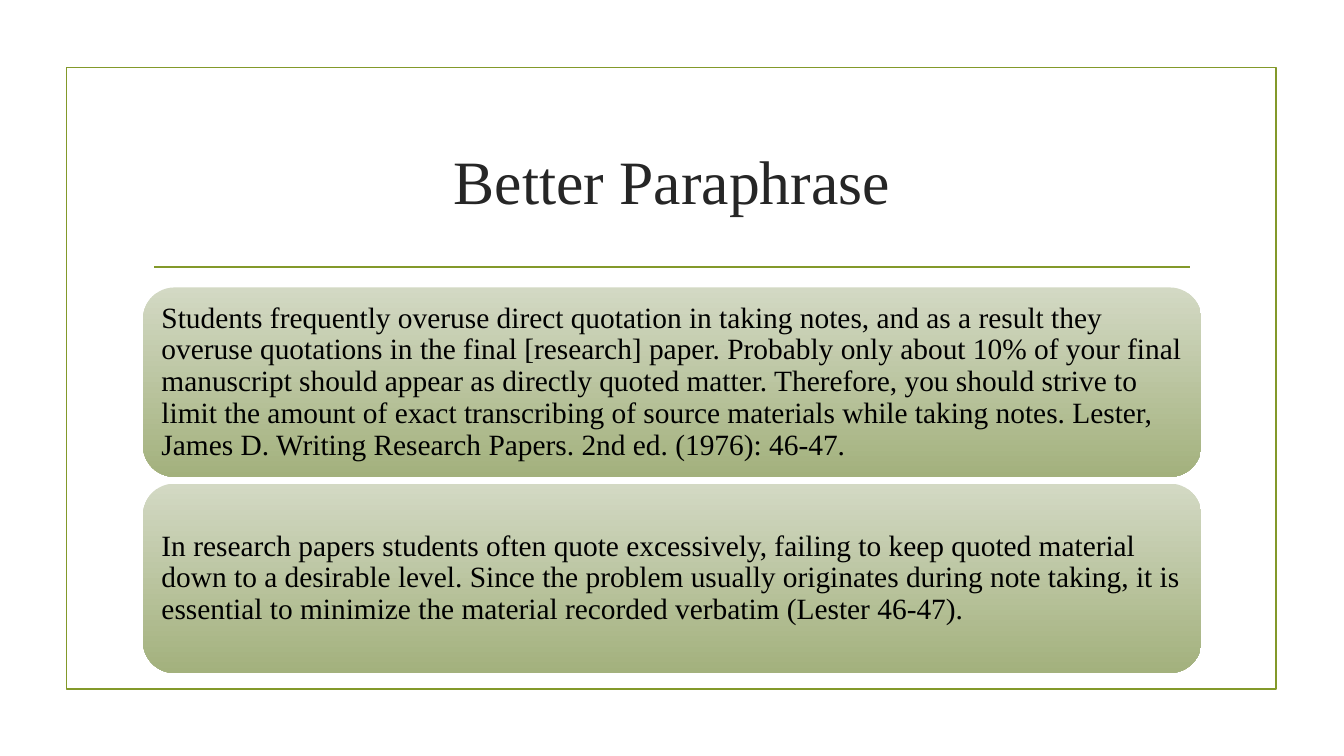
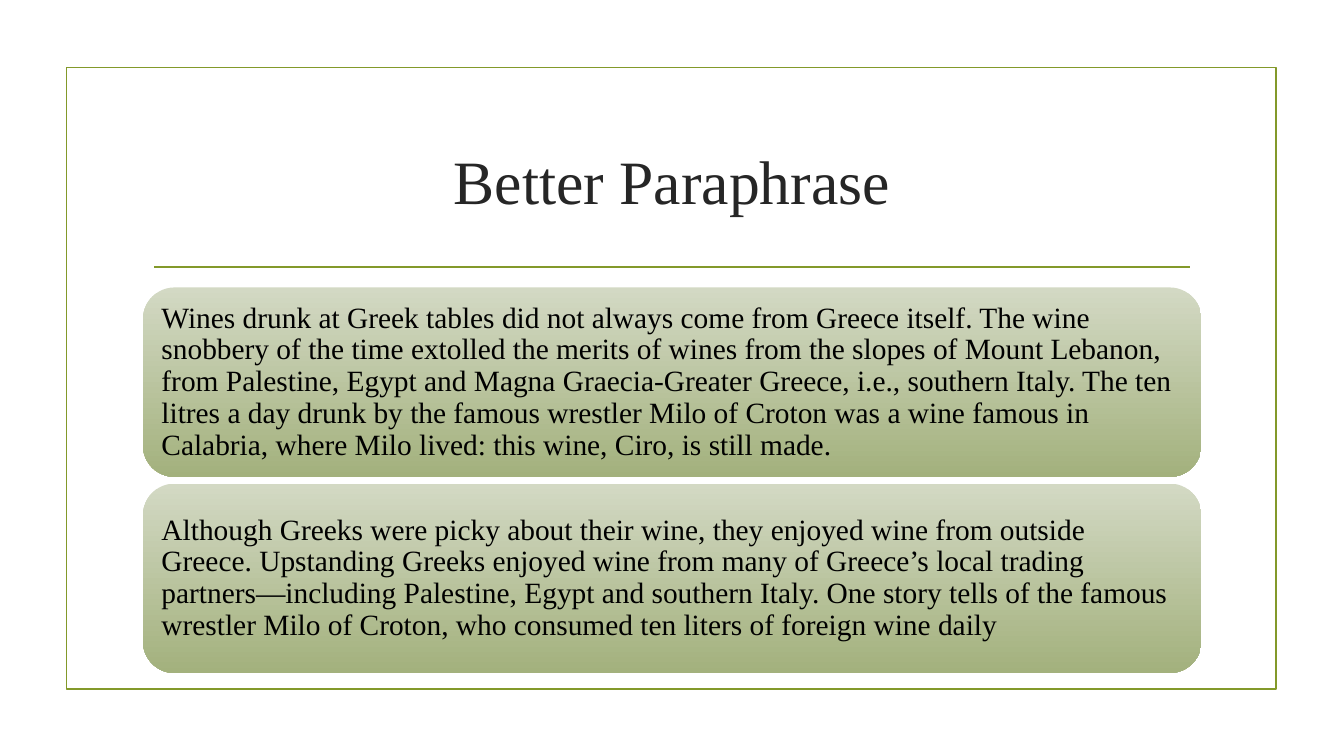
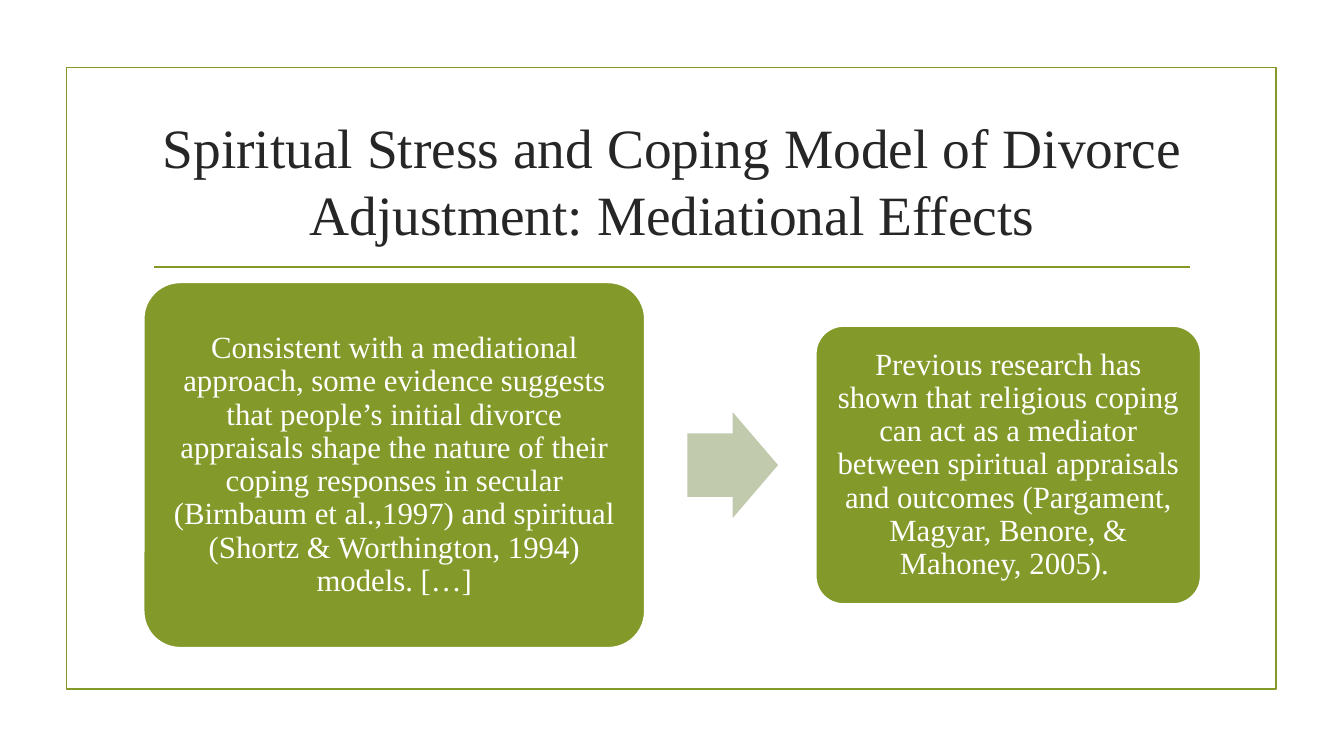
from dataclasses import dataclass
from typing import Optional

from lxml.etree import SubElement
from pptx import Presentation
from pptx.dml.color import RGBColor
from pptx.enum.shapes import MSO_CONNECTOR, MSO_SHAPE
from pptx.enum.text import MSO_ANCHOR, PP_ALIGN
from pptx.oxml.ns import qn
from pptx.util import Pt


@dataclass(frozen=True)
class Theme:
    font: str = "Times New Roman"
    paper: str = "FFFFFF"
    olive: str = "83992A"
    sage: str = "C1CAAD"
    passage_top: str = "D3D9C4"
    passage_bottom: str = "A3B17D"
    title_ink: str = "262626"
    passage_ink: str = "000000"
    title_size: float = 44
    long_title_size: float = 39.6
    passage_size: float = 21
    step_size: float = 22
    line_width: float = 1.25


THEME = Theme()


@dataclass(frozen=True)
class Box:
    left: float
    top: float
    width: float
    height: float

    def lengths(self):
        return Pt(self.left), Pt(self.top), Pt(self.width), Pt(self.height)


@dataclass(frozen=True)
class Comparison:
    """A source passage and its paraphrase."""
    title: str
    passages: tuple[str, str]


@dataclass(frozen=True)
class Step:
    text: str
    left: float
    width: float
    height: float


FRAME = Box(47.5, 48.2, 864, 444.2)
TITLE = Box(102.2, 77, 756, 103)
RULE_LEFT, RULE_RIGHT, RULE_TOP = 110.2, 850.3, 190.8
FIRST_PASSAGE = Box(102.2, 205.3, 756, 135.3)
PASSAGE_PITCH = 140.1
FLOW_MIDDLE = 332.2
ARROW_LEFT, ARROW_WIDTH, ARROW_HEIGHT = 491, 64.8, 75.6

COMPARISONS = (
    Comparison("Better Paraphrase", (
        "Students frequently overuse direct quotation in taking notes, and as a result they "
        "overuse quotations in the final [research] paper. Probably only about 10% of your final "
        "manuscript should appear as directly quoted matter. Therefore, you should strive to "
        "limit the amount of exact transcribing of source materials while taking notes. Lester, "
        "James D. Writing Research Papers. 2nd ed. (1976): 46-47.",
        "In research papers students often quote excessively, failing to keep quoted material "
        "down to a desirable level. Since the problem usually originates during note taking, it "
        "is essential to minimize the material recorded verbatim (Lester 46-47).")),
    Comparison("Better Paraphrase", (
        "Wines drunk at Greek tables did not always come from Greece itself. The wine "
        "snobbery of the time extolled the merits of wines from the slopes of Mount Lebanon, "
        "from Palestine, Egypt and Magna Graecia-Greater Greece, i.e., southern Italy. The ten "
        "litres a day drunk by the famous wrestler Milo of Croton was a wine famous in "
        "Calabria, where Milo lived: this wine, Ciro, is still made.",
        "Although Greeks were picky about their wine, they enjoyed wine from outside Greece. "
        "Upstanding Greeks enjoyed wine from many of Greece’s local trading partners—including "
        "Palestine, Egypt and southern Italy. One story tells of the famous wrestler "
        "Milo of Croton, who consumed ten liters of foreign wine daily")),
)

MODEL_TITLE = "Spiritual Stress and Coping Model of Divorce Adjustment: Mediational Effects"
MODEL_STEPS = (
    Step("Consistent with a mediational approach, some evidence suggests that people’s initial "
         "divorce appraisals shape the nature of their coping responses in secular (Birnbaum et "
         "al.,1997) and spiritual (Shortz & Worthington, 1994) models. […]",
         102.6, 358, 261),
    Step("Previous research has shown that religious coping can act as a mediator between "
         "spiritual appraisals and outcomes (Pargament, Magyar, Benore, & Mahoney, 2005). ",
         582.7, 275, 198.6),
)


def rgb(code: str) -> RGBColor:
    return RGBColor.from_string(code)


def write(shape, text: str, *, size: float, color: str, align=PP_ALIGN.LEFT,
          spacing: float = 1.0, inset_x: float = 6.6, inset_y: float = 6.6) -> None:
    frame = shape.text_frame
    frame.word_wrap = True
    frame.vertical_anchor = MSO_ANCHOR.MIDDLE
    frame.margin_left = frame.margin_right = Pt(inset_x)
    frame.margin_top = frame.margin_bottom = Pt(inset_y)
    paragraph = frame.paragraphs[0]
    paragraph.alignment = align
    paragraph.line_spacing = spacing
    run = paragraph.add_run()
    run.text = text
    run.font.name = THEME.font
    run.font.size = Pt(size)
    run.font.color.rgb = rgb(color)


def add_block(slide, kind, box: Box, *, fill: Optional[str] = None,
              line: Optional[str] = None, adjustments: tuple[float, ...] = ()):
    block = slide.shapes.add_shape(kind, *box.lengths())
    block.shadow.inherit = False
    for index, value in enumerate(adjustments):
        block.adjustments[index] = value
    if fill:
        block.fill.solid()
        block.fill.fore_color.rgb = rgb(fill)
    else:
        block.fill.background()
    if line:
        block.line.color.rgb = rgb(line)
        block.line.width = Pt(THEME.line_width)
    else:
        block.line.fill.background()
    return block


def add_titled_slide(deck, title: str, size: float):
    """Add a blank slide with the shared frame, rule and title."""
    slide = deck.slides.add_slide(deck.slide_layouts[6])
    slide.background.fill.solid()
    slide.background.fill.fore_color.rgb = rgb(THEME.paper)
    add_block(slide, MSO_SHAPE.RECTANGLE, FRAME, line=THEME.olive)
    rule = slide.shapes.add_connector(MSO_CONNECTOR.STRAIGHT, Pt(RULE_LEFT), Pt(RULE_TOP),
                                      Pt(RULE_RIGHT), Pt(RULE_TOP))
    rule.line.color.rgb = rgb(THEME.olive)
    rule.line.width = Pt(THEME.line_width)
    SubElement(rule._element.spPr, qn("a:effectLst"))
    heading = slide.shapes.add_textbox(*TITLE.lengths())
    write(heading, title, size=size, color=THEME.title_ink, align=PP_ALIGN.CENTER,
          inset_x=7.2, inset_y=3.6)
    return slide


def add_passage(slide, text: str, row: int) -> None:
    first = FIRST_PASSAGE
    box = Box(first.left, first.top + row * PASSAGE_PITCH, first.width, first.height)
    card = add_block(slide, MSO_SHAPE.ROUNDED_RECTANGLE, box)
    card.fill.gradient()
    card.fill.gradient_angle = 270
    for stop, code in zip(card.fill.gradient_stops, (THEME.passage_top, THEME.passage_bottom)):
        stop.color.rgb = rgb(code)
    write(card, text, size=THEME.passage_size, color=THEME.passage_ink, spacing=0.9)


def flow_box(left: float, width: float, height: float) -> Box:
    """Return a box centred on the middle line of the flow."""
    return Box(left, FLOW_MIDDLE - height / 2, width, height)


def add_step(slide, step: Step) -> None:
    card = add_block(slide, MSO_SHAPE.ROUNDED_RECTANGLE,
                     flow_box(step.left, step.width, step.height),
                     fill=THEME.olive, line=THEME.paper, adjustments=(0.1,))
    write(card, step.text, size=THEME.step_size, color=THEME.paper,
          align=PP_ALIGN.CENTER, spacing=0.9)


def main() -> None:
    deck = Presentation()
    deck.slide_width, deck.slide_height = Pt(960), Pt(540)
    for comparison in COMPARISONS:
        slide = add_titled_slide(deck, comparison.title, THEME.title_size)
        for row, passage in enumerate(comparison.passages):
            add_passage(slide, passage, row)

    model = add_titled_slide(deck, MODEL_TITLE, THEME.long_title_size)
    for step in MODEL_STEPS:
        add_step(model, step)
    add_block(model, MSO_SHAPE.RIGHT_ARROW, flow_box(ARROW_LEFT, ARROW_WIDTH, ARROW_HEIGHT),
              fill=THEME.sage, adjustments=(0.6, 0.5))
    deck.save("out.pptx")


if __name__ == "__main__":
    main()
